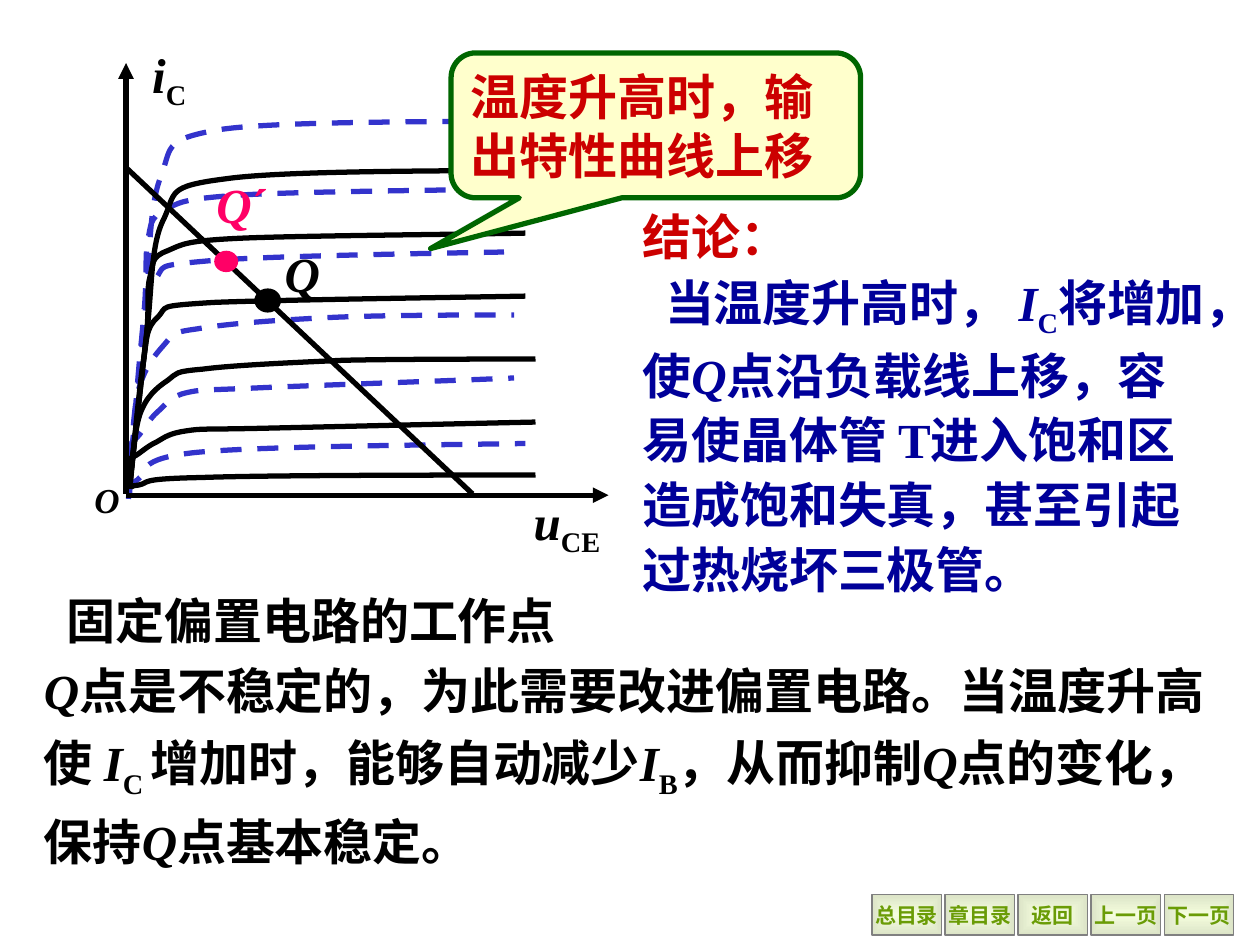
"""Build the slide on how temperature shifts the transistor output curves and Q point."""
import pptx
import pptx.dml.color
import pptx.enum.dml
import pptx.enum.shapes
import pptx.enum.text
import pptx.oxml
import pptx.oxml.ns
import pptx.util
from lxml import etree

Inches, Pt = pptx.util.Inches, pptx.util.Pt
RGBColor = pptx.dml.color.RGBColor
SHAPE = pptx.enum.shapes.MSO_SHAPE
ALIGN = pptx.enum.text.PP_ALIGN
ANCHOR = pptx.enum.text.MSO_ANCHOR
AUTO_SIZE = pptx.enum.text.MSO_AUTO_SIZE
qn = pptx.oxml.ns.qn

BLACK, RED, PINK = RGBColor(0, 0, 0), RGBColor(0xCC, 0, 0), RGBColor(0xFF, 0, 0x66)
NAVY, BLUE = RGBColor(0, 0, 0x99), RGBColor(0x33, 0x33, 0xCC)
CREAM, GREEN = RGBColor(0xFF, 0xFF, 0xCC), RGBColor(0, 0x66, 0)
GRAY, OLIVE = RGBColor(0x80, 0x80, 0x80), RGBColor(0x6A, 0x9C, 0x06)
BUTTON_STOPS = (RGBColor(0xF5, 0xFE, 0xDE), RGBColor(0xDC, 0xE4, 0xC7))
SONG, ROMAN = "Noto Sans CJK SC", "Times New Roman"

STYLES = {"han": (SONG, False, None), "roman": (ROMAN, False, None),
          "var": (ROMAN, True, None), "sub": (ROMAN, False, "-25000")}

BUTTONS = ["总目录", "章目录", "返回", "上一页", "下一页"]

HOT_CURVES = [
    [(1.03, 3.92), (1.04, 3.9), (1, 3.86), (1.09, 3.81), (1.18, 3.75), (1.06, 3.64), (1.57, 3.59),
     (2.08, 3.54), (3.63, 3.53), (4.17, 3.52)],
    [(1.02, 3.86), (1.03, 3.8), (1.03, 3.6), (1.04, 3.54), (1.06, 3.47), (1.06, 3.51), (1.09, 3.47),
     (1.13, 3.43), (1.19, 3.32), (1.25, 3.27), (1.32, 3.21), (1.35, 3.15), (1.47, 3.12),
     (1.6, 3.09), (1.58, 3.1), (2.02, 3.08), (2.45, 3.06), (3.65, 3.02), (4.08, 3)],
    [(1.02, 3.96), (1.03, 3.82), (1.05, 3.33), (1.09, 3.13), (1.14, 2.93), (1.22, 2.83), (1.3, 2.74),
     (1.38, 2.65), (1.35, 2.64), (1.57, 2.61), (1.79, 2.57), (2.21, 2.54), (2.63, 2.52),
     (3.05, 2.5), (3.78, 2.5), (4.08, 2.5)],
    [(1.02, 3.91), (1.04, 3.72), (1.09, 3.01), (1.12, 2.73), (1.15, 2.45), (1.14, 2.33), (1.23, 2.22),
     (1.32, 2.11), (1.2, 2.11), (1.66, 2.07), (2.12, 2.03), (3.51, 2.01), (4, 2)],
    [(1.02, 3.91), (1.04, 3.68), (1.12, 2.85), (1.14, 2.52), (1.17, 2.19), (1.15, 2.06), (1.17, 1.92),
     (1.2, 1.78), (1.19, 1.73), (1.3, 1.67), (1.42, 1.61), (1.43, 1.58), (1.88, 1.55),
     (2.33, 1.52), (3.56, 1.51), (4, 1.5)],
    [(1.02, 3.92), (1.04, 3.68), (1.11, 2.93), (1.15, 2.51), (1.19, 2.09), (1.18, 1.66), (1.27, 1.42),
     (1.37, 1.17), (1.28, 1.11), (1.74, 1.03), (2.19, 0.96), (3.52, 0.97), (3.99, 0.96)],
]
COLD_CURVES = [
    [(1.04, 3.88), (1.05, 3.87), (1.01, 3.86), (1.1, 3.85), (1.2, 3.83), (1.07, 3.8), (1.6, 3.79),
     (2.12, 3.77), (3.7, 3.77), (4.25, 3.77)],
    [(1, 3.85), (1, 3.82), (1.01, 3.7), (1.02, 3.66), (1.03, 3.62), (1.04, 3.65), (1.07, 3.62),
     (1.11, 3.6), (1.17, 3.54), (1.24, 3.51), (1.31, 3.47), (1.34, 3.44), (1.48, 3.42),
     (1.61, 3.4), (1.59, 3.41), (2.05, 3.4), (2.52, 3.39), (3.79, 3.36), (4.25, 3.35)],
    [(1.03, 3.88), (1.04, 3.78), (1.06, 3.44), (1.11, 3.29), (1.16, 3.15), (1.24, 3.08), (1.33, 3.02),
     (1.41, 2.96), (1.38, 2.95), (1.61, 2.93), (1.84, 2.9), (2.28, 2.88), (2.72, 2.86),
     (3.16, 2.85), (3.93, 2.85), (4.25, 2.85)],
    [(1.03, 3.84), (1.05, 3.69), (1.1, 3.14), (1.13, 2.92), (1.17, 2.7), (1.15, 2.61), (1.25, 2.52),
     (1.34, 2.43), (1.22, 2.43), (1.7, 2.4), (2.19, 2.38), (3.65, 2.36), (4.17, 2.35)],
    [(1.03, 3.84), (1.05, 3.65), (1.13, 2.96), (1.16, 2.69), (1.19, 2.42), (1.16, 2.31), (1.19, 2.2),
     (1.22, 2.08), (1.2, 2.04), (1.33, 1.99), (1.45, 1.94), (1.46, 1.91), (1.93, 1.89),
     (2.41, 1.87), (3.7, 1.86), (4.17, 1.85)],
    [(1.03, 3.88), (1.05, 3.68), (1.12, 3.03), (1.16, 2.68), (1.21, 2.32), (1.19, 1.95), (1.3, 1.74),
     (1.4, 1.53), (1.31, 1.48), (1.79, 1.42), (2.27, 1.35), (3.67, 1.36), (4.17, 1.35)],
]

CALLOUT = [[("温度升高时，输出特性曲线上移", "han", RED)]]
SUMMARY = [
    [("固定偏置电路的工作点", "han", BLACK)],
    [(text, style, BLACK) for text, style in [
        ("Q", "var"), ("点是不稳定的，为此需要改进偏置电路。当温度升高使 ", "han"), ("I", "var"),
        ("C ", "sub"), ("增加时，能够自动减少", "han"), ("I", "var"), ("B", "sub"),
        ("，从而抑制", "han"), ("Q", "var"), ("点的变化，保持", "han"), ("Q", "var"),
        ("点基本稳定。", "han")]],
]
CONCLUSION = [
    [("结论：", "han", RED)],
    [(text, style, NAVY) for text, style in [
        ("当温度升高时， ", "han"), ("I", "var"), ("C", "sub"), ("将增加，使", "han"), ("Q", "var"),
        ("点沿负载线上移，容易使晶体管 ", "han"), ("T", "roman"),
        ("进入饱和区造成饱和失真，甚至引起过热烧坏三极管。", "han")]],
]


def write(shape, paragraphs, size=28, align=ALIGN.LEFT, spacing=1.0, indented=None,
          wrap=True, anchor=ANCHOR.MIDDLE, fit=AUTO_SIZE.SHAPE_TO_FIT_TEXT):
    frame = shape.text_frame
    frame.word_wrap, frame.vertical_anchor, frame.auto_size = wrap, anchor, fit
    for index, spans in enumerate(paragraphs):
        para = frame.add_paragraph() if index else frame.paragraphs[0]
        para.alignment, para.line_spacing = align, spacing
        if index == indented:
            para._p.get_or_add_pPr().set("indent", str(Inches(0.18)))
        for text, style, color in spans:
            font_name, italic, baseline = STYLES[style]
            span = para.add_run()
            span.text = text
            font = span.font
            font.name, font.size, font.bold, font.italic = font_name, Pt(size), True, italic
            font.color.rgb = color
            etree.SubElement(font._element, qn("a:ea")).set("typeface", SONG)
            if baseline:
                font._element.set("baseline", baseline)


def add_text(shapes, at, paragraphs, **options):
    box = shapes.add_textbox(*map(Inches, at))
    write(box, paragraphs, **options)


def add_preset(shapes, preset, at, fill=None, line=None, width=3):
    shape = shapes.add_shape(preset, *map(Inches, at))
    shape.shadow.inherit = False
    if fill is not None:
        shape.fill.solid()
        shape.fill.fore_color.rgb = fill
    if line is None:
        shape.line.fill.background()
    else:
        shape.line.color.rgb, shape.line.width = line, Pt(width)
    return shape


def add_curve(shapes, points, color, dashed=False):
    units = [(round(x * 100), round(y * 100)) for x, y in points]
    ends = units[::3]
    left, top = min(x for x, y in ends), min(y for x, y in ends)
    builder = shapes.build_freeform(*units[0], scale=Inches(0.01))
    builder.add_line_segments(ends[1:], close=False)
    curve = builder.convert_to_shape()
    for index, segment in enumerate(list(curve._element.iter(qn("a:lnTo")))):
        bezier = etree.Element(qn("a:cubicBezTo"))
        for x, y in units[3 * index + 1:3 * index + 4]:
            etree.SubElement(bezier, qn("a:pt"), x=str(x - left), y=str(y - top))
        segment.getparent().replace(segment, bezier)
    curve.shadow.inherit = False
    curve.fill.background()
    curve.line.color.rgb, curve.line.width = color, Pt(3)
    if dashed:
        curve.line.dash_style = pptx.enum.dml.MSO_LINE.DASH


def add_line(shapes, ends, arrow=False):
    line = shapes.add_connector(pptx.enum.shapes.MSO_CONNECTOR.STRAIGHT, *map(Inches, ends))
    line.line.color.rgb, line.line.width = BLACK, Pt(3)
    if arrow:
        etree.SubElement(line.line._get_or_add_ln(), qn("a:tailEnd"), type="triangle")
    etree.SubElement(line._element.spPr, qn("a:effectLst"))


def add_button(shapes, label, left):
    button = add_preset(shapes, SHAPE.ACTION_BUTTON_CUSTOM, (left, 7.1, 0.55, 0.32), line=GRAY, width=0.75)
    button.fill.gradient()
    for stop, color in zip(button.fill.gradient_stops, BUTTON_STOPS):
        stop.color.rgb = color
    linear = next(button._element.iter(qn("a:lin")))
    center = etree.Element(qn("a:path"), path="rect")
    etree.SubElement(center, qn("a:fillToRect"), dict.fromkeys("ltrb", "50000"))
    linear.getparent().replace(linear, center)
    write(button, [[(label, "roman", OLIVE)]], size=12, align=ALIGN.CENTER, wrap=False, fit=AUTO_SIZE.NONE)


def main():
    deck = pptx.Presentation()
    deck.slide_width, deck.slide_height = Inches(10), Inches(7.5)
    page = deck.slides.add_slide(deck.slide_layouts[6]).shapes
    for index, label in enumerate(BUTTONS):
        add_button(page, label, 6.92 + 0.58 * index)
    hot_group = page.add_group_shape().shapes
    for points in HOT_CURVES:
        add_curve(hot_group, points, BLUE, dashed=True)
    add_text(page, (1.11, 0.33, 2.28, 0.57), [[("i", "var", BLACK), ("C", "sub", BLACK)]])
    add_text(page, (4.11, 3.88, 0.78, 0.57), [[("u", "var", BLACK), ("CE", "sub", BLACK)]],
             align=ALIGN.CENTER, wrap=False)
    add_line(page, (1, 3.93, 4.83, 3.93), arrow=True)
    add_line(page, (1, 3.92, 1, 0.5), arrow=True)
    for points in COLD_CURVES:
        add_curve(page, points, BLACK)
    add_line(page, (1, 1.33, 3.75, 3.92))
    add_preset(page, SHAPE.OVAL, (2.04, 2.31, 0.17, 0.15), BLACK, BLACK)
    add_text(page, (2.08, 1.88, 0.64, 0.57), [[("Q", "var", BLACK)]], align=ALIGN.CENTER)
    callout = add_preset(page, SHAPE.ROUNDED_RECTANGULAR_CALLOUT, (3.58, 0.42, 3.25, 1.15), CREAM, GREEN)
    for index, value in enumerate((-0.55, 0.85, 0.17)):
        callout.adjustments[index] = value
    write(callout, CALLOUT)
    hot_point = page.add_group_shape().shapes
    add_preset(hot_point, SHAPE.OVAL, (1.7, 1.99, 0.19, 0.17), PINK)
    add_text(hot_point, (1.62, 1.33, 1.06, 0.57), [[("Q", "var", PINK), ("´", "roman", PINK)]])
    add_text(page, (0.25, 4.58, 9.42, 2.34), SUMMARY, spacing=1.2, indented=0)
    add_text(page, (5, 1.58, 4.67, 3.18), CONCLUSION, spacing=1.1, indented=1)
    add_text(page, (0.65, 3.75, 0.4, 0.43), [[("O", "var", BLACK)]], size=20, wrap=False, anchor=ANCHOR.TOP)
    deck.save("out.pptx")


if __name__ == "__main__":
    main()
